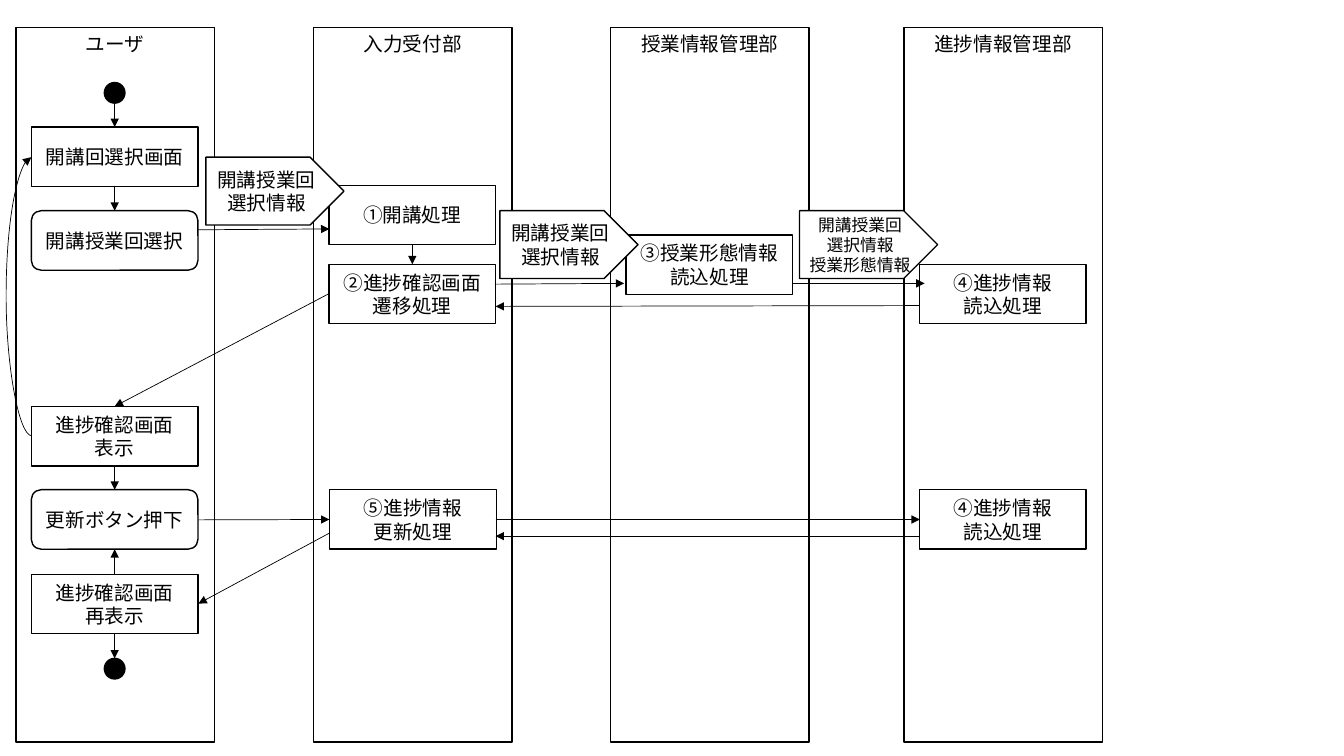
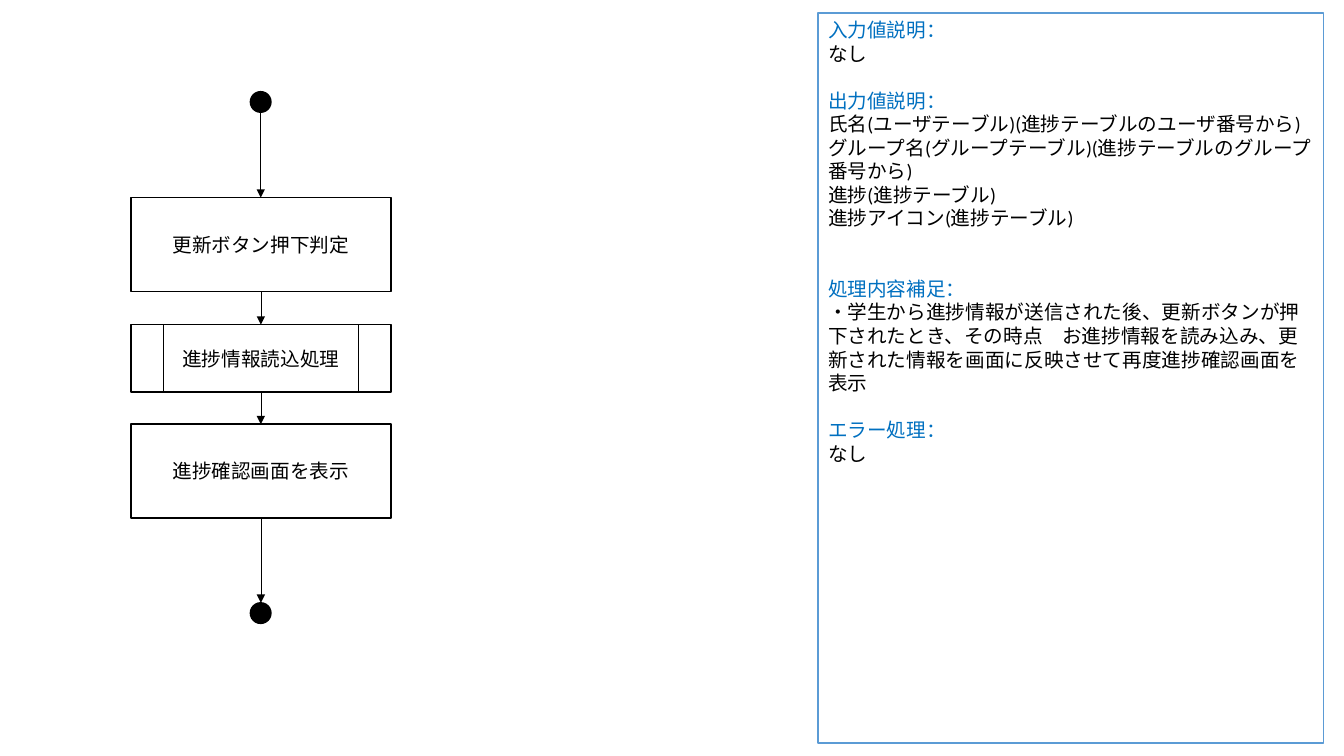
"""Build two slides: a swimlane flow of the update and its step chart."""
import dataclasses
import typing

import lxml.etree
import pptx
import pptx.dml.color
import pptx.enum.shapes
import pptx.enum.text
import pptx.oxml.ns
import pptx.slide
import pptx.util

Cm = pptx.util.Cm
Pt = pptx.util.Pt
qn = pptx.oxml.ns.qn
Shape = pptx.enum.shapes.MSO_SHAPE
Link = pptx.enum.shapes.MSO_CONNECTOR
Align = pptx.enum.text.PP_ALIGN
Anchor = pptx.enum.text.MSO_ANCHOR
Color = pptx.dml.color.RGBColor

BLACK = Color(0x00, 0x00, 0x00)
WHITE = Color(0xFF, 0xFF, 0xFF)
BLUE = Color(0x00, 0x70, 0xC0)
FRAME = Color(0x5B, 0x9B, 0xD5)

LANES = (0.4, 7.9, 15.39, 22.78)
INSET = 0.39
USER, INPUT, CLASS, STATE = (left + INSET for left in LANES)
DOT = 0.52
ROW = 16.8


@dataclasses.dataclass(frozen=True)
class Box:
    x: float
    y: float
    w: float = 4.2
    h: float = 1.5
    text: str = ""
    kind: Shape = Shape.RECTANGLE
    size: int = 14
    font: str = "Calibri"
    anchor: Anchor = Anchor.MIDDLE
    align: Align = Align.CENTER
    fill: Color = WHITE
    line: Color = BLACK


class Wire(typing.NamedTuple):
    x: float
    y: float
    to_x: float
    to_y: float


class Note(typing.NamedTuple):
    head: str
    body: tuple[str, ...]
    gap: int


def lane(x: float, text: str) -> Box:
    return Box(x, 0.69, 5, 18.01, text, font="Arial", anchor=Anchor.TOP)


def dot(mid: float, y: float) -> Box:
    return Box(mid - DOT / 2, y, DOT, DOT, kind=Shape.OVAL, fill=BLACK)


def button(x: float, y: float, text: str) -> Box:
    return Box(x, y, text=text, kind=Shape.ROUNDED_RECTANGLE)


def packet(x: float, y: float, text: str, size: int = 14) -> Box:
    return Box(x, y, 3.48, 1.71, text, Shape.PENTAGON, size)


def step(y: float, h: float, text: str,
         kind: Shape = Shape.FLOWCHART_PROCESS) -> Box:
    return Box(3.3, y, 6.55, h, text, kind)


def drop(top: Box, low: Box) -> Wire:
    mid = top.x + top.w / 2
    return Wire(mid, top.y + top.h, mid, low.y)


def draw_box(slide: pptx.slide.Slide, box: Box) -> typing.Any:
    shape = slide.shapes.add_shape(
        box.kind, Cm(box.x), Cm(box.y), Cm(box.w), Cm(box.h))
    shape.shadow.inherit = False
    shape.fill.solid()
    shape.fill.fore_color.rgb = box.fill
    shape.line.color.rgb = box.line
    shape.line.width = Pt(1)
    if box.text:
        frame = shape.text_frame
        frame.text = box.text
        frame.word_wrap = True
        frame.vertical_anchor = box.anchor
        for para in frame.paragraphs:
            para.alignment = box.align
            for run in para.runs:
                run.font.name = box.font
                run.font.size = Pt(box.size)
                run.font.color.rgb = BLACK
    return shape


def draw_wire(slide: pptx.slide.Slide, wire: Wire,
              kind: Link = Link.STRAIGHT) -> typing.Any:
    line = slide.shapes.add_connector(
        kind, Cm(wire.x), Cm(wire.y), Cm(wire.to_x), Cm(wire.to_y))
    line.line.color.rgb = BLACK
    line.line.width = Pt(0.5)
    props = line._element.spPr
    lxml.etree.SubElement(props.find(qn("a:ln")), qn("a:tailEnd"),
                          type="triangle")
    lxml.etree.SubElement(props, qn("a:effectLst"))
    return line


def draw_loop(slide: pptx.slide.Slide, wire: Wire, bend: int) -> None:
    props = draw_wire(slide, wire, Link.CURVE)._element.spPr
    props.find(qn("a:xfrm")).set("rot", "10800000")
    guides = props.find(qn("a:prstGeom")).find(qn("a:avLst"))
    lxml.etree.SubElement(guides, qn("a:gd"), name="adj1",
                          fmla=f"val {bend}")


def draw_notes(slide: pptx.slide.Slide, panel: Box,
               notes: tuple[Note, ...]) -> None:
    lines = [row for note in notes for row in (note.head, *note.body)]
    text = "\n".join(lines)
    shape = draw_box(slide, dataclasses.replace(panel, text=text))
    gaps = {note.head: note.gap for note in notes}
    for para in shape.text_frame.paragraphs:
        if para.text in gaps:
            para.space_before = Pt(ROW * gaps[para.text])
            para.runs[0].font.color.rgb = BLUE


def draw_lanes(slide: pptx.slide.Slide) -> None:
    names = ("ユーザ", "入力受付部", "授業情報管理部", "進捗情報管理部")
    lanes = [lane(x, name) for x, name in zip(LANES, names)]
    mid = USER + 2.1
    start, end = dot(mid, 2.08), dot(mid, 16.59)
    pick = Box(USER, 3.2, text="開講回選択画面")
    choose = button(USER, 5.31, "開講授業回選択")
    show = Box(USER, 10.24, text="進捗確認画面\n表示")
    push = button(USER, 12.34, "更新ボタン押下")
    again = Box(USER, 14.47, text="進捗確認画面\n再表示")
    begin = Box(INPUT, 4.67, text="①開講処理")
    move = Box(INPUT, 6.66, text="②進捗確認画面\n遷移処理")
    fresh = Box(INPUT + 0.02, 12.34, text="⑤進捗情報\n更新処理")
    form = Box(CLASS, 5.92, text="③授業形態情報\n読込処理")
    reads = [Box(STATE, y, text="④進捗情報\n読込処理")
             for y in (6.66, 12.34)]
    for box in (*lanes, start, end, pick, choose, show, push, again,
                begin, move, fresh, form, *reads):
        draw_box(slide, box)
    pairs = ((start, pick), (pick, choose), (show, push), (again, end),
             (begin, move))
    wires = [drop(top, low) for top, low in pairs]
    wires += [
        Wire(mid, again.y, mid, push.y + push.h),
        Wire(5, 5.79, 8.3, 5.77),
        Wire(8.29, 7.4, mid, show.y),
        Wire(8.29, 13.44, 5, 15.21),
        Wire(5, 13.1, 8.3, 13.09),
        Wire(12.49, 13.09, 23.18, 13.09),
        Wire(23.18, 13.51, 12.49, 13.51),
        Wire(23.18, 7.7, 12.49, 7.72),
        Wire(19.98, 7.14, 23.3, 7.14),
        Wire(12.47, 7.16, 15.73, 7.14),
    ]
    for wire in wires:
        draw_wire(slide, wire)
    draw_loop(slide, Wire(0.79, 3.96, 0.8, 10.98), 6464100)
    for box in (
        packet(5.19, 3.96, "開講授業回選択情報"),
        packet(12.6, 5.31, "開講授業回選択情報"),
        packet(20.15, 5.31, "開講授業回\n選択情報\n授業形態情報", 12),
    ):
        draw_box(slide, box)


def draw_steps(slide: pptx.slide.Slide) -> None:
    mid = 6.57
    chain = (
        dot(mid, 2.31),
        step(4.98, 2.36, "更新ボタン押下判定"),
        step(8.18, 1.7, "進捗情報読込処理",
             Shape.FLOWCHART_PREDEFINED_PROCESS),
        step(10.69, 2.36, "進捗確認画面を表示"),
        dot(mid, 15.19),
    )
    for box in chain:
        draw_box(slide, box)
    for top, low in zip(chain, chain[1:]):
        draw_wire(slide, drop(top, low))
    panel = Box(20.62, 0.33, 12.73, 18.39, kind=Shape.FLOWCHART_PROCESS,
                anchor=Anchor.TOP, align=Align.LEFT, line=FRAME)
    draw_notes(slide, panel, (
        Note("入力値説明：", ("なし",), 0),
        Note("出力値説明：", (
            "氏名(ユーザテーブル)(進捗テーブルのユーザ番号から)",
            "グループ名(グループテーブル)(進捗テーブルのグループ番号から)",
            "進捗(進捗テーブル)",
            "進捗アイコン(進捗テーブル)",
        ), 1),
        Note("処理内容補足：", (
            "・学生から進捗情報が送信された後、更新ボタンが押下されたとき、"
            "その時点　お進捗情報を読み込み、更新された情報を画面に反映させて"
            "再度進捗確認画面を表示",
        ), 2),
        Note("エラー処理：", ("なし",), 1),
    ))


def main() -> None:
    deck = pptx.Presentation()
    deck.slide_width = Cm(33.87)
    deck.slide_height = Cm(19.05)
    for draw in (draw_lanes, draw_steps):
        draw(deck.slides.add_slide(deck.slide_layouts[6]))
    deck.save("out.pptx")


main()
